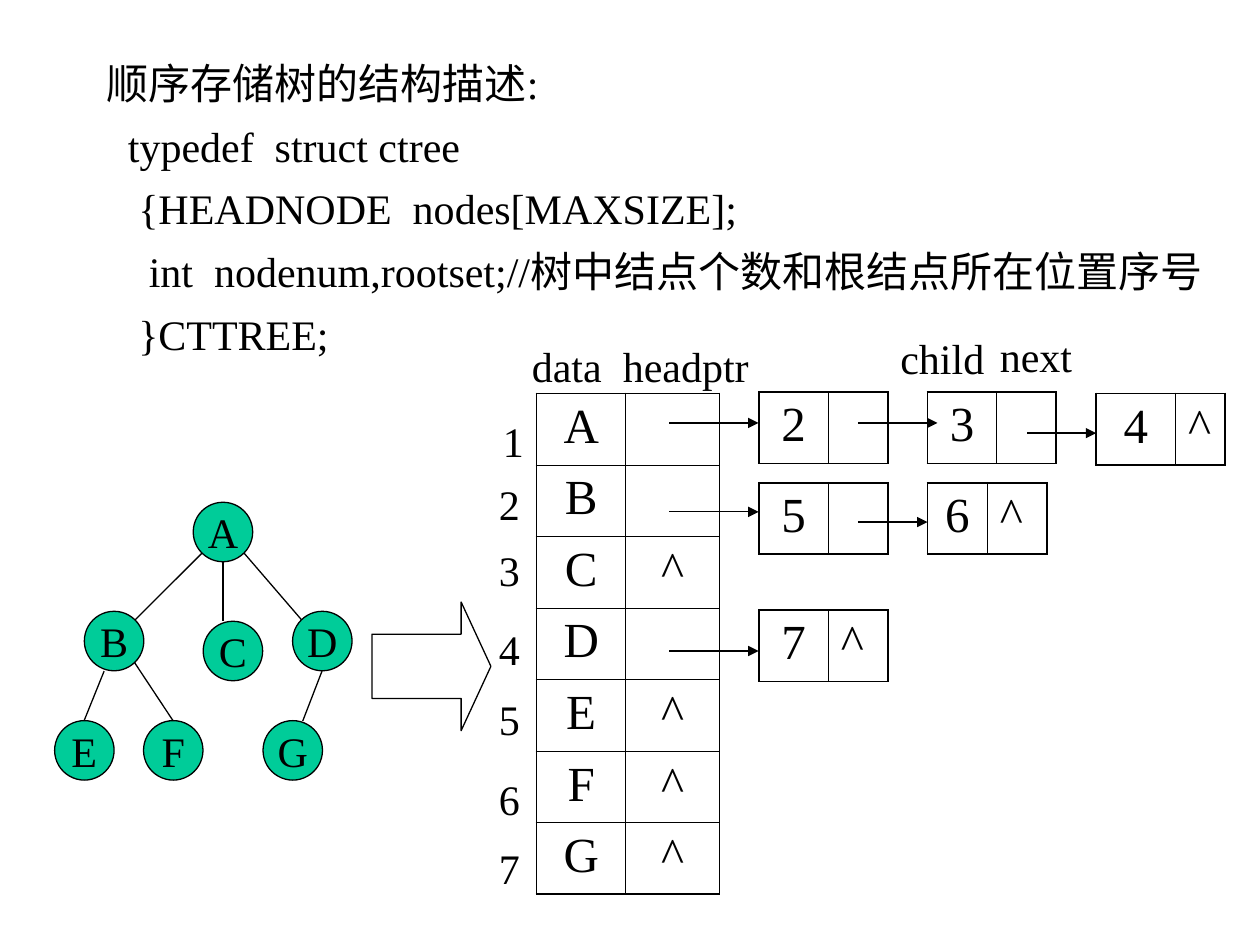
from lxml.etree import SubElement
from pptx import Presentation
from pptx.dml.color import RGBColor
from pptx.enum.shapes import MSO_CONNECTOR, MSO_SHAPE
from pptx.enum.text import MSO_ANCHOR, PP_ALIGN
from pptx.oxml import parse_xml
from pptx.oxml.ns import nsdecls, qn
from pptx.util import Pt

rgb = RGBColor.from_string
BLACK, GREEN, WHITE = "000000", "00CC99", "FFFFFF"
FONT = "Times New Roman"
THICK, THIN = 1.08, 0.45


def put_text(tf, text, size=24, align=PP_ALIGN.LEFT, gap=0):
    """Write one paragraph per line of text, gap points apart."""
    for i, line in enumerate(text.split("\n")):
        p = tf.add_paragraph() if i else tf.paragraphs[0]
        p.alignment = align
        p.space_before = Pt(gap if i else 0)
        r = p.add_run()
        r.text = line
        r.font.name, r.font.size = FONT, Pt(size)
        r.font.color.rgb = rgb(BLACK)


def add_line(x1, y1, x2, y2, arrow=False):
    s = shapes.add_connector(MSO_CONNECTOR.STRAIGHT, Pt(x1), Pt(y1), Pt(x2), Pt(y2))
    s.line.color.rgb = rgb(BLACK)
    s.line.width = Pt(0.75)
    sp = s._element.spPr
    if arrow:
        SubElement(sp.find(qn("a:ln")), qn("a:tailEnd"), type="triangle")
    SubElement(sp, qn("a:effectLst"))


prs = Presentation()
prs.slide_width, prs.slide_height = Pt(720), Pt(540)
shapes = prs.slides.add_slide(prs.slide_layouts[6]).shapes

# Structure definition
code = """顺序存储树的结构描述:
  typedef  struct ctree
   {HEADNODE  nodes[MAXSIZE];
    int  nodenum,rootset;//树中结点个数和根结点所在位置序号
   }CTTREE;"""
s = shapes.add_textbox(Pt(54), Pt(29.3), Pt(646.5), Pt(180))
s.text_frame.word_wrap = True
put_text(s.text_frame, code, gap=7)

# Tree
edges = [
    (116, 315.5, 76.5, 355), (139, 315.5, 173, 355), (127.5, 321, 127.5, 355),
    (59.5, 383.5, 48, 412), (76.5, 378, 99, 412), (184, 383.5, 173, 412),
]
for edge in edges:
    add_line(*edge)

nodes = [
    ("A", 110.4, 287), ("B", 48.2, 349.3), ("C", 116.1, 355), ("D", 167.2, 349.3),
    ("E", 31.2, 411.8), ("F", 82, 411.8), ("G", 150.3, 411.8),
]
for name, x, y in nodes:
    s = shapes.add_shape(MSO_SHAPE.OVAL, Pt(x), Pt(y), Pt(34), Pt(34))
    s.shadow.inherit = False
    s.fill.solid()
    s.fill.fore_color.rgb = rgb(GREEN)
    s.line.color.rgb = rgb(BLACK)
    s.line.width = Pt(0.75)
    s.text_frame.word_wrap = False
    s.text_frame.vertical_anchor = MSO_ANCHOR.MIDDLE
    put_text(s.text_frame, name, align=PP_ALIGN.CENTER)

s = shapes.add_shape(MSO_SHAPE.RIGHT_ARROW, Pt(212.5), Pt(344), Pt(68), Pt(73.5))
s.adjustments[0], s.adjustments[1] = 0.5, 0.25
s.shadow.inherit = False
s.fill.solid()
s.fill.fore_color.rgb = rgb(WHITE)
s.line.color.rgb = rgb(BLACK)
s.line.width = Pt(0.75)

# Head node array and child lists: left, top, column widths, rows, pointer alignment
heads = [("A", ""), ("B", ""), ("C", "^"), ("D", ""), ("E", "^"), ("F", "^"), ("G", "^")]
tables = [
    (306.6, 224.8, (51, 53.5), heads, PP_ALIGN.CENTER),
    (433.7, 224, (39.6, 34), [("2", "")], PP_ALIGN.LEFT),
    (530, 224, (39.6, 34), [("3", "")], PP_ALIGN.LEFT),
    (626.4, 224.8, (45.4, 28.3), [("4", "^")], PP_ALIGN.LEFT),
    (433.7, 275.8, (39.6, 34), [("5", "")], PP_ALIGN.LEFT),
    (530, 275.8, (34.2, 34), [("6", "^")], PP_ALIGN.LEFT),
    (433.7, 348.5, (39.6, 34), [("7", "^")], PP_ALIGN.LEFT),
]
ROW_HEIGHT = 40.9
for x, y, widths, rows, pointer_align in tables:
    table = shapes.add_table(len(rows), 2, Pt(x), Pt(y), Pt(sum(widths)),
                             Pt(ROW_HEIGHT * len(rows))).table
    table.first_row = table.horz_banding = False
    for column, width in zip(table.columns, widths):
        column.width = Pt(width)
    for i, row in enumerate(rows):
        table.rows[i].height = Pt(ROW_HEIGHT)
        for j, text in enumerate(row):
            cell = table.cell(i, j)
            cell.fill.background()
            if text:
                put_text(cell.text_frame, text, size=28,
                         align=pointer_align if j else PP_ALIGN.CENTER)
            outer = {"L": j == 0, "R": j == 1, "T": i == 0, "B": i == len(rows) - 1}
            for k, (side, is_outer) in enumerate(outer.items()):
                width = Pt(THICK if is_outer else THIN)
                cell._tc.get_or_add_tcPr().insert(k, parse_xml(
                    f'<a:ln{side} {nsdecls("a")} w="{width}"><a:solidFill>'
                    f'<a:srgbClr val="{BLACK}"/></a:solidFill></a:ln{side}>'))

# Row numbers and column headings
labels = [("1", 280.3, 234), ("data", 296.8, 190.8), ("headptr", 348.8, 190.8),
          ("child", 507.4, 186.3), ("next", 564.2, 185.2)]
tops = (270, 307.8, 353, 392.5, 438.5, 478)
labels += [(str(n), 278, top) for n, top in enumerate(tops, 2)]
for text, x, y in labels:
    s = shapes.add_textbox(Pt(x), Pt(y), Pt(14.4 + 12 * len(text)), Pt(36))
    s.text_frame.word_wrap = False
    put_text(s.text_frame, text)

# Pointers
pointers = [(382.5, 433.5, 241.7), (490.3, 535.7, 241.7), (587, 626.4, 247.5),
            (382.5, 433.5, 292.5), (490.3, 530, 298.3), (382.5, 433.5, 372)]
for x1, x2, y in pointers:
    add_line(x1, y, x2, y, arrow=True)

prs.save("out.pptx")
